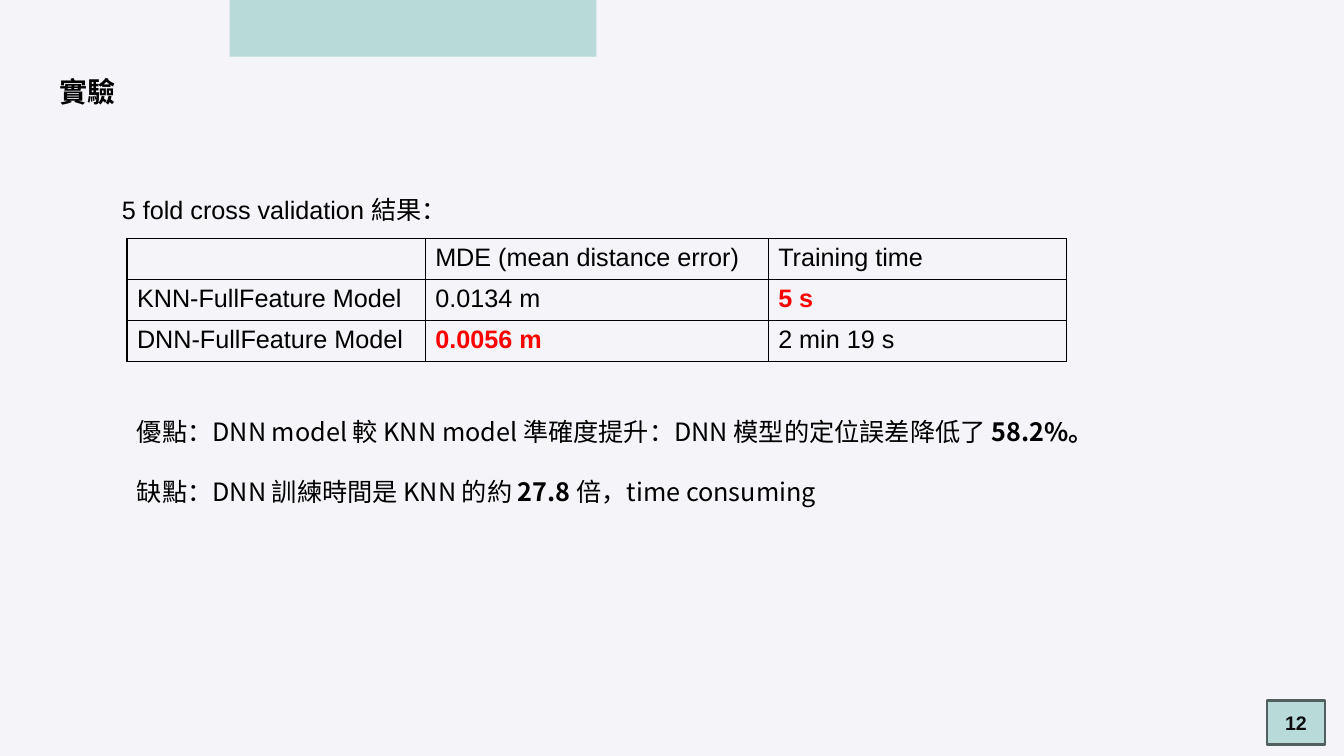
from lxml.etree import SubElement
from pptx import Presentation
from pptx.dml.color import RGBColor
from pptx.enum.shapes import MSO_SHAPE
from pptx.enum.text import MSO_ANCHOR, MSO_AUTO_SIZE, PP_ALIGN
from pptx.oxml.ns import qn
from pptx.util import Pt

COLORS = {"background": "F4F4F9", "mint": "B8DBD9", "slate": "51605F",
          "black": "000000", "number": "0D0D0D", "highlight": "FF0000"}
LATIN_FONT = "Arial"
CHINESE_FONT = "Noto Sans CJK SC"


def color(name):
    return RGBColor.from_string(COLORS[name])


def format_paragraph(paragraph, size, font_name=LATIN_FONT, color_name="black", bold=None):
    """Set the paragraph's font, and the Chinese typeface for its East Asian text."""
    font = paragraph.font
    font.size, font.name, font.bold = Pt(size), font_name, bold
    font.color.rgb = color(color_name)
    for run in paragraph.runs:
        properties = run._r.get_or_add_rPr()
        SubElement(properties, qn("a:ea"), typeface=CHINESE_FONT)


presentation = Presentation()
presentation.slide_width, presentation.slide_height = Pt(960), Pt(540)
slide = presentation.slides.add_slide(presentation.slide_layouts[5])
slide.background.fill.solid()
slide.background.fill.fore_color.rgb = color("background")

# Top band and page number
band = slide.shapes.add_shape(MSO_SHAPE.RECTANGLE, Pt(164), Pt(0), Pt(262), Pt(40.5))
page_number = slide.shapes.add_shape(MSO_SHAPE.RECTANGLE, Pt(905), Pt(500.4), Pt(41.5), Pt(31.5))
for shape in (band, page_number):
    shape.shadow.inherit = False
    shape.fill.solid()
    shape.fill.fore_color.rgb = color("mint")
band.line.fill.background()
page_number.line.color.rgb = color("slate")
page_number.line.width = Pt(2)
page_number.text_frame.text = "12"
page_number.text_frame.vertical_anchor = MSO_ANCHOR.MIDDLE
number_paragraph = page_number.text_frame.paragraphs[0]
number_paragraph.alignment = PP_ALIGN.CENTER
format_paragraph(number_paragraph, 14, color_name="number", bold=True)

# Title
title = slide.shapes.title
title.left, title.top, title.width, title.height = Pt(35.3), Pt(49.7), Pt(900), Pt(31.5)
title.text_frame.text = "實驗"
title.text_frame.auto_size = MSO_AUTO_SIZE.NONE
title.text_frame.vertical_anchor = MSO_ANCHOR.TOP
title_paragraph = title.text_frame.paragraphs[0]
title_paragraph.alignment = PP_ALIGN.LEFT
format_paragraph(title_paragraph, 20, CHINESE_FONT, bold=True)

# Caption above the table
caption = slide.shapes.add_textbox(Pt(80), Pt(135.4), Pt(640), Pt(51))
caption.text_frame.word_wrap = True
caption.text_frame.text = "5 fold cross validation 結果："
format_paragraph(caption.text_frame.paragraphs[0], 18)

# Results table
results = [
    ["", "MDE (mean distance error)", "Training time"],
    ["KNN-FullFeature Model", "0.0134 m", "5 s"],
    ["DNN-FullFeature Model", "0.0056 m", "2 min 19 s"],
]
best_values = {"5 s", "0.0056 m"}
column_widths = [213, 245, 213]
row_height = 29.2
table = slide.shapes.add_table(len(results), len(column_widths), Pt(90.7), Pt(170.6),
                               Pt(sum(column_widths)), Pt(row_height * len(results))).table
table.first_row = table.horz_banding = False
for column, width in zip(table.columns, column_widths):
    column.width = Pt(width)
for row_index, row in enumerate(results):
    table.rows[row_index].height = Pt(row_height)
    for column_index, value in enumerate(row):
        cell = table.cell(row_index, column_index)
        cell.text = value
        best = value in best_values
        format_paragraph(cell.text_frame.paragraphs[0], 18,
                         color_name="highlight" if best else "black", bold=best)
        cell_properties = cell._tc.get_or_add_tcPr()
        for side in ("a:lnL", "a:lnR", "a:lnT", "a:lnB"):
            border = SubElement(cell_properties, qn(side), w=str(Pt(1)))
            border_fill = SubElement(border, qn("a:solidFill"))
            SubElement(border_fill, qn("a:srgbClr"), val=COLORS["black"])
        cell.fill.background()

# Conclusions: (text, bold) pieces of each paragraph
conclusions = [
    [("優點：DNN model 較 KNN model 準確度提升：DNN 模型的定位誤差降低了 ", False),
     ("58.2%。", True)],
    [("缺點：DNN 訓練時間是 KNN 的約 ", False), ("27.8 ", True),
     ("倍，time consuming", False)],
]
conclusion_box = slide.shapes.add_textbox(Pt(90.7), Pt(293.8), Pt(731.5), Pt(72.7))
frame = conclusion_box.text_frame
frame.word_wrap = True
for index, pieces in enumerate(conclusions):
    paragraph = frame.add_paragraph() if index else frame.paragraphs[0]
    paragraph.space_before = Pt(21.6 * index)
    for text, bold in pieces:
        run = paragraph.add_run()
        run.text = text
        run.font.bold = bold
    format_paragraph(paragraph, 18, CHINESE_FONT)

presentation.save("out.pptx")
